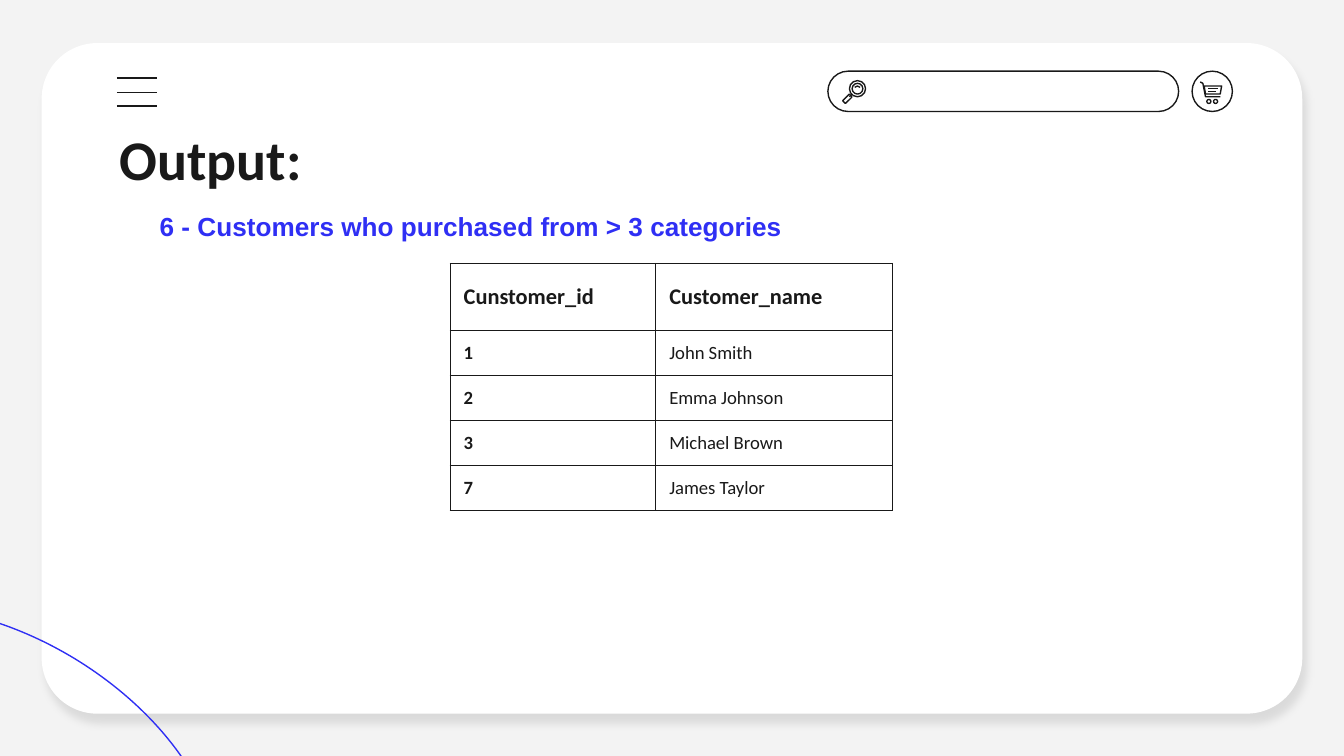
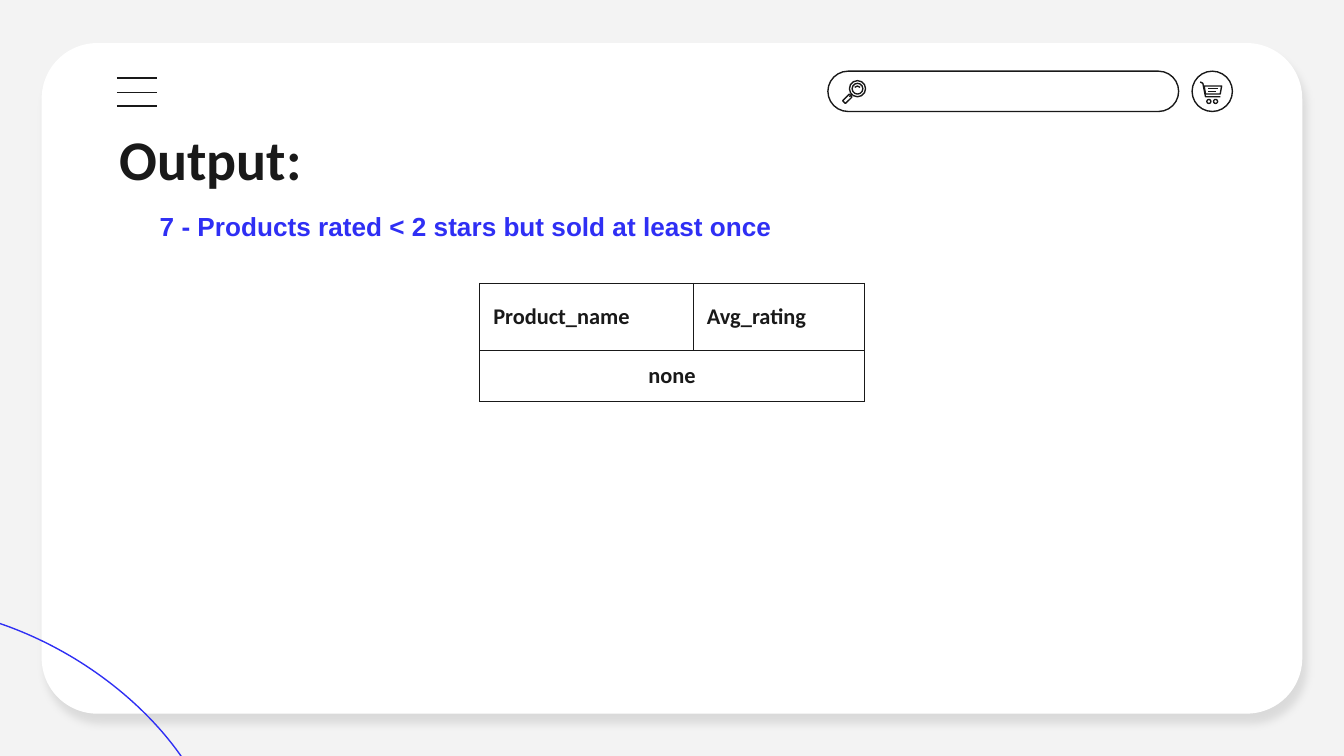
from lxml import etree
from pptx import Presentation
from pptx import util as u
from pptx.dml.color import RGBColor
from pptx.enum import shapes, text
from pptx.oxml import ns

COLORS = {"page": "F3F3F3", "card": "FFFFFF", "ink": "191919", "accent": "2F2FF4", "shadow": "000000"}
HEADING_FONT, CAPTION_FONT = "Calibri", "Arial"
LINE_WIDTH = u.Pt(0.75)
KIND = shapes.MSO_SHAPE

TITLE = "Output:"
HEADER_HEIGHT = 0.5
SLIDES = [
    {
        "caption": "6 - Customers who purchased from > 3 categories",
        "caption_width": 5.7,
        "at": (3.35, 1.96),
        "columns": (1.53, 1.76),
        "height": 1.84,
        "body_size": 10,
        "body_margin": 0,
        "rows": [
            ("Cunstomer_id", "Customer_name"),
            ("1", "John Smith"),
            ("2", "Emma Johnson"),
            ("3", "Michael Brown"),
            ("7", "James Taylor"),
        ],
    },
    {
        "caption": "7 - Products rated < 2 stars but sold at least once",
        "caption_width": 5.88,
        "at": (3.57, 2.11),
        "columns": (1.59, 1.27),
        "height": 0.88,
        "body_size": 12,
        "body_margin": 0.05,
        "rows": [("Product_name", "Avg_rating"), ("none",)],
    },
]

MENU_LINES = (0.58, 0.69, 0.79)
# Outlines in hundredths of an inch
CART_BASKET = [(896, 64), (909, 64), (908, 70), (897, 70)]
CART_HANDLE = [(893, 61), (895, 62), (897, 72), (908, 72)]
LENS_GLINT = [(636, 65), (638, 64), (640, 65)]
CART_STRIPES = [(8.99, 9.06, 0.66), (8.99, 9.05, 0.68)]
CART_WHEELS = (8.98, 9.03)


def color(name):
    return RGBColor.from_string(COLORS[name])


def inches(*values):
    return [u.Inches(value) for value in values]


def style(shape, line=None, fill=None):
    shape.shadow.inherit = False
    if fill:
        shape.fill.solid()
        shape.fill.fore_color.rgb = color(fill)
    else:
        shape.fill.background()
    if line:
        shape.line.color.rgb = color(line)
        shape.line.width = LINE_WIDTH
    else:
        shape.line.fill.background()
    return shape


def add_outline(parent, kind, box, line="ink", rotation=0):
    shape = style(parent.add_shape(kind, *inches(*box)), line)
    shape.rotation = rotation
    return shape


def add_line(parent, x1, y1, x2, y2):
    line = parent.add_connector(shapes.MSO_CONNECTOR.STRAIGHT, *inches(x1, y1, x2, y2))
    line.line.color.rgb = color("ink")
    line.line.width = LINE_WIDTH
    etree.SubElement(line._element.spPr, ns.qn("a:effectLst"))


def add_polyline(parent, points, close=False):
    builder = parent.build_freeform(*points[0], scale=u.Inches(0.01))
    builder.add_line_segments(points[1:], close=close)
    style(builder.convert_to_shape(), "ink")


def add_card(page):
    card = style(page.shapes.add_shape(KIND.ROUNDED_RECTANGLE, *inches(0.31, 0.32, 9.38, 4.99)), fill="card")
    card.adjustments[0] = 0.083
    effects = card._element.spPr.find(ns.qn("a:effectLst"))
    shadow = etree.SubElement(
        effects, ns.qn("a:outerShdw"), blurRad=str(u.Pt(4.5)), dist=str(u.Pt(6)),
        dir=str(68 * 60000), algn="bl", rotWithShape="0")
    tint = etree.SubElement(shadow, ns.qn("a:srgbClr"), val=COLORS["shadow"])
    etree.SubElement(tint, ns.qn("a:alpha"), val="10000")


def add_menu(page):
    menu = page.shapes.add_group_shape().shapes
    for y in MENU_LINES:
        add_line(menu, 0.87, y, 1.17, y)


def add_search(page):
    search = page.shapes.add_group_shape().shapes
    bar = add_outline(search, KIND.ROUNDED_RECTANGLE, (6.16, 0.53, 2.61, 0.3))
    bar.adjustments[0] = 0.5
    for lens in ((6.32, 0.6, 0.12, 0.12), (6.34, 0.62, 0.08, 0.08)):
        add_outline(search, KIND.OVAL, lens)
    add_polyline(search, LENS_GLINT)
    add_line(search, 6.32, 0.72, 6.34, 0.7)
    add_outline(search, KIND.ROUNDED_RECTANGLE, (6.27, 0.72, 0.07, 0.03), rotation=-45)


def add_cart(page):
    cart = page.shapes.add_group_shape().shapes
    add_outline(cart, KIND.OVAL, (8.87, 0.53, 0.3, 0.3))
    add_polyline(cart, CART_BASKET, close=True)
    add_polyline(cart, CART_HANDLE)
    for left, right, y in CART_STRIPES:
        add_line(cart, left, y, right, y)
    for x in CART_WHEELS:
        add_outline(cart, KIND.OVAL, (x, 0.74, 0.03, 0.03))


def add_frame(page):
    """Draw the browser-like window behind the content."""
    add_card(page)
    add_outline(page.shapes, KIND.OVAL, (-1.89, 4.73, 3.68, 2.31), "accent", rotation=31.1)
    add_menu(page)
    add_search(page)
    add_cart(page)


def write(frame, words, size, font, ink, bold=True):
    frame.word_wrap = True
    para = frame.paragraphs[0]
    para.text = words
    para.alignment = text.PP_ALIGN.LEFT
    para.font.size = u.Pt(size)
    para.font.name = font
    para.font.bold = bold
    para.font.color.rgb = color(ink)
    return para


def set_insets(frame):
    frame.auto_size = text.MSO_AUTO_SIZE.NONE
    frame.margin_left = frame.margin_right = frame.margin_top = frame.margin_bottom = u.Inches(0.1)


def add_title(page):
    title = page.shapes.title
    title.left, title.top, title.width, title.height = inches(0.79, 0.83, 8.43, 0.63)
    page.shapes._spTree.append(title._element)  # bring in front of the card
    write(title.text_frame, TITLE, 30, HEADING_FONT, "ink")
    set_insets(title.text_frame)
    title.text_frame.vertical_anchor = text.MSO_ANCHOR.TOP


def add_caption(page, words, width):
    frame = page.shapes.add_textbox(*inches(1.09, 1.4, width, 0.5)).text_frame
    write(frame, words, 14, CAPTION_FONT, "accent")
    set_insets(frame)
    frame.vertical_anchor = text.MSO_ANCHOR.BOTTOM


def format_cell(cell, margin):
    properties = cell._tc.get_or_add_tcPr()
    for side in ("lnL", "lnR", "lnT", "lnB"):
        border = etree.SubElement(properties, ns.qn(f"a:{side}"), w=str(LINE_WIDTH))
        fill = etree.SubElement(border, ns.qn("a:solidFill"))
        etree.SubElement(fill, ns.qn("a:srgbClr"), val=COLORS["ink"])
    cell.fill.background()
    cell.vertical_anchor = text.MSO_ANCHOR.MIDDLE
    cell.margin_left = cell.margin_right = u.Inches(0.1)
    cell.margin_top = cell.margin_bottom = u.Inches(margin)


def add_result(page, content):
    columns, rows, height = content["columns"], content["rows"], content["height"]
    body_height = (height - HEADER_HEIGHT) / (len(rows) - 1)
    box = inches(*content["at"], sum(columns), height)
    table = page.shapes.add_table(len(rows), len(columns), *box).table
    table.first_row = table.horz_banding = False
    for column, width in zip(table.columns, columns):
        column.width = u.Inches(width)
    for r, row in enumerate(rows):
        table.rows[r].height = u.Inches(body_height if r else HEADER_HEIGHT)
        for c in range(len(columns)):
            format_cell(table.cell(r, c), content["body_margin"] if r else 0.05)
        for c, words in enumerate(row):
            para = write(table.cell(r, c).text_frame, words, content["body_size"] if r else 12,
                         HEADING_FONT, "ink", bold=r == 0 or c == 0)
        if len(row) == 1:
            table.cell(r, 0).merge(table.cell(r, len(columns) - 1))
            para.alignment = text.PP_ALIGN.CENTER


def main():
    deck = Presentation()
    deck.slide_width = u.Inches(10)
    deck.slide_height = deck.slide_width * 9 // 16
    backdrop = deck.slide_master.background.fill
    backdrop.solid()
    backdrop.fore_color.rgb = color("page")
    title_only = deck.slide_layouts[5]
    for content in SLIDES:
        page = deck.slides.add_slide(title_only)
        add_frame(page)
        add_title(page)
        add_result(page, content)
        add_caption(page, content["caption"], content["caption_width"])
    deck.save("out.pptx")


if __name__ == "__main__":
    main()
